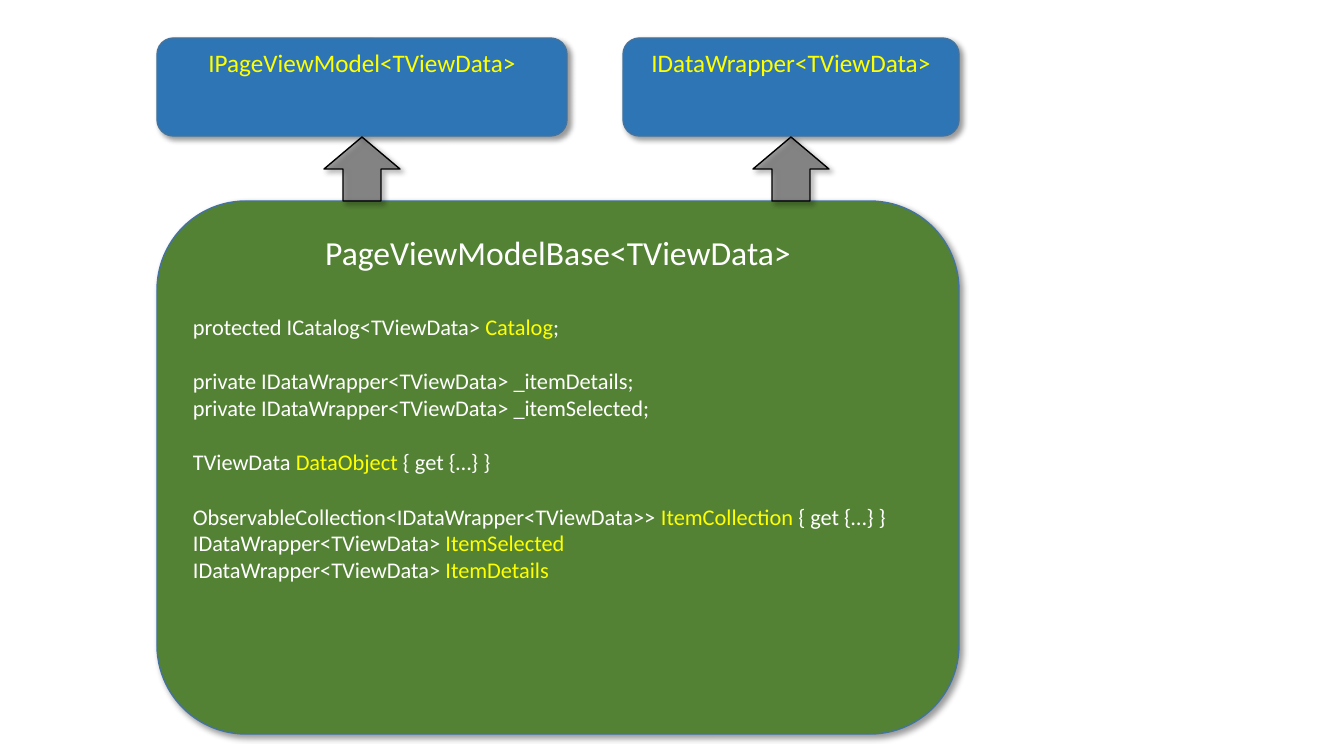
from dataclasses import dataclass

from lxml.etree import SubElement
from pptx import Presentation
from pptx.dml.color import RGBColor
from pptx.enum.shapes import MSO_SHAPE
from pptx.enum.text import MSO_ANCHOR, PP_ALIGN
from pptx.oxml.ns import qn
from pptx.util import Pt

PX = 914400 / 100.8


@dataclass(frozen=True)
class Theme:
    """Colours, font and type sizes of the slide."""
    font: str = "Calibri"
    base_fill: str = "548235"
    interface_fill: str = "2E75B6"
    box_line: str = "43739E"
    arrow_fill: str = "595959"
    black: str = "000000"
    white: str = "FFFFFF"
    highlight: str = "FFFF00"
    title_size: int = 24
    interface_size: int = 18
    code_size: int = 16
    title_gap: float = 29.3
    code_gap: float = 19.5


THEME = Theme()

MEMBER_GROUPS = [
    [("protected ICatalog<TViewData> ", "Catalog", ";")],
    [
        ("private IDataWrapper<TViewData> _itemDetails;",),
        ("private IDataWrapper<TViewData> _itemSelected;",),
    ],
    [("TViewData ", "DataObject", " { get {…} }")],
    [
        ("ObservableCollection<IDataWrapper<TViewData>> ", "ItemCollection", " { get {…} }"),
        ("IDataWrapper<TViewData> ", "ItemSelected"),
        ("IDataWrapper<TViewData> ", "ItemDetails"),
    ],
]


def emu(pixels):
    """Turn pixels into EMU."""
    return round(pixels * PX)


def set_opacity(color_element, percent):
    """Give a colour element an opacity."""
    SubElement(color_element, qn("a:alpha")).set("val", str(percent * 1000))


def add_shadow(shape):
    """Give a shape the soft shadow towards the lower right."""
    shape.shadow.inherit = False
    effects = shape._element.spPr.find(qn("a:effectLst"))
    shadow = SubElement(effects, qn("a:outerShdw"))
    values = {"blurRad": Pt(4), "dist": Pt(3), "dir": 45 * 60000, "algn": "tl", "rotWithShape": 0}
    for name, value in values.items():
        shadow.set(name, str(value))
    color = SubElement(shadow, qn("a:srgbClr"))
    color.set("val", THEME.black)
    set_opacity(color, 40)


def add_block(slide, kind, box, fill, line):
    """Add a filled, outlined and shadowed shape in the given box."""
    shape = slide.shapes.add_shape(kind, *map(emu, box))
    shape.fill.solid()
    shape.fill.fore_color.rgb = RGBColor.from_string(fill)
    shape.line.color.rgb = RGBColor.from_string(line)
    shape.line.width = Pt(1)
    add_shadow(shape)
    return shape


def add_text_box(slide, box, fill):
    """Add a rounded box and return its text frame, set from the top."""
    shape = add_block(slide, MSO_SHAPE.ROUNDED_RECTANGLE, box, fill, THEME.box_line)
    frame = shape.text_frame
    for name, value in {"word_wrap": True, "vertical_anchor": MSO_ANCHOR.TOP}.items():
        setattr(frame, name, value)
    return frame


def add_run(paragraph, text, size, color):
    """Add a formatted run."""
    run = paragraph.add_run()
    run.text = text
    for name, value in {"name": THEME.font, "size": Pt(size)}.items():
        setattr(run.font, name, value)
    run.font.color.rgb = RGBColor.from_string(color)


def add_interface(slide, box, name):
    """Draw an interface box with its name."""
    paragraph = add_text_box(slide, box, THEME.interface_fill).paragraphs[0]
    paragraph.alignment = PP_ALIGN.CENTER
    add_run(paragraph, name, THEME.interface_size, THEME.highlight)


def add_inheritance_arrow(slide, box):
    """Draw an upward arrow that fills the given box."""
    left, top, width, height = box
    shift = (width - height) // 2
    turned_box = (left + shift, top - shift, height, width)
    arrow = add_block(slide, MSO_SHAPE.RIGHT_ARROW, turned_box, THEME.arrow_fill, THEME.black)
    arrow.rotation = 270
    set_opacity(arrow._element.spPr.find(qn("a:solidFill"))[0], 60)


def add_base_class(slide, box, name, groups):
    """Draw the base class with its name and its groups of members."""
    frame = add_text_box(slide, box, THEME.base_fill)
    title = frame.paragraphs[0]
    title.alignment = PP_ALIGN.CENTER
    add_run(title, name, THEME.title_size, THEME.white)
    gap = THEME.title_gap
    for group in groups:
        for member in group:
            paragraph = frame.add_paragraph()
            paragraph.alignment = PP_ALIGN.LEFT
            paragraph.space_before = Pt(gap)
            gap = 0
            for text, color in zip(member, (THEME.white, THEME.highlight, THEME.white)):
                add_run(paragraph, text, THEME.code_size, color)
        gap = THEME.code_gap


def add_class_diagram(slide, box):
    """Draw the base class below the two interfaces that it implements."""
    left, top, width, height = box
    interface_height, arrow_width, arrow_height = 98, 76, 64
    base_top = top + 163
    base_box = (left, base_top, width, top + height - base_top)
    add_base_class(slide, base_box, "PageViewModelBase<TViewData>", MEMBER_GROUPS)
    interfaces = [
        ("IPageViewModel<TViewData>", left, 410),
        ("IDataWrapper<TViewData>", left + width - 336, 336),
    ]
    for name, interface_left, interface_width in interfaces:
        add_interface(slide, (interface_left, top, interface_width, interface_height), name)
        arrow_left = interface_left + (interface_width - arrow_width) // 2
        add_inheritance_arrow(
            slide, (arrow_left, base_top - arrow_height, arrow_width, arrow_height)
        )


def main():
    """Build and save the presentation."""
    presentation = Presentation()
    presentation.slide_width = emu(1344)
    presentation.slide_height = emu(756)
    slide = presentation.slides.add_slide(presentation.slide_layouts[6])
    add_class_diagram(slide, (157, 38, 802, 696))
    presentation.save("out.pptx")


if __name__ == "__main__":
    main()
